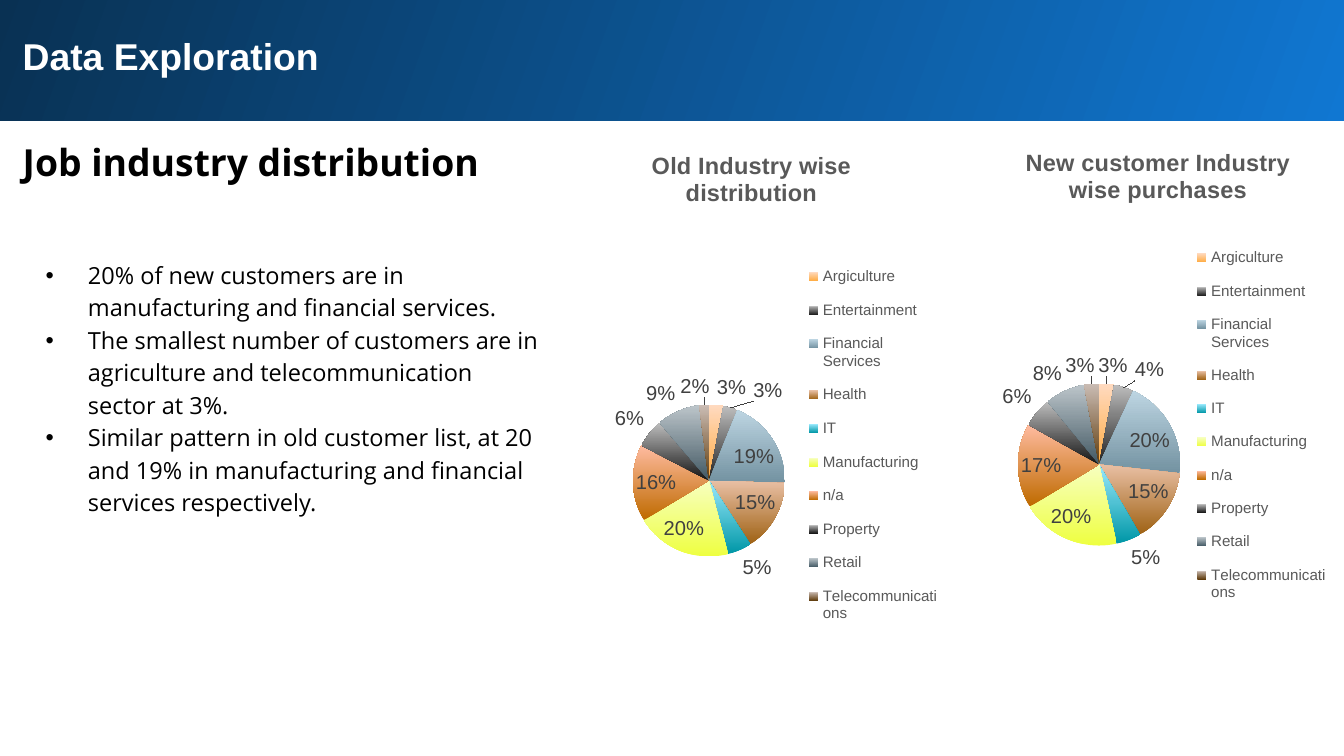
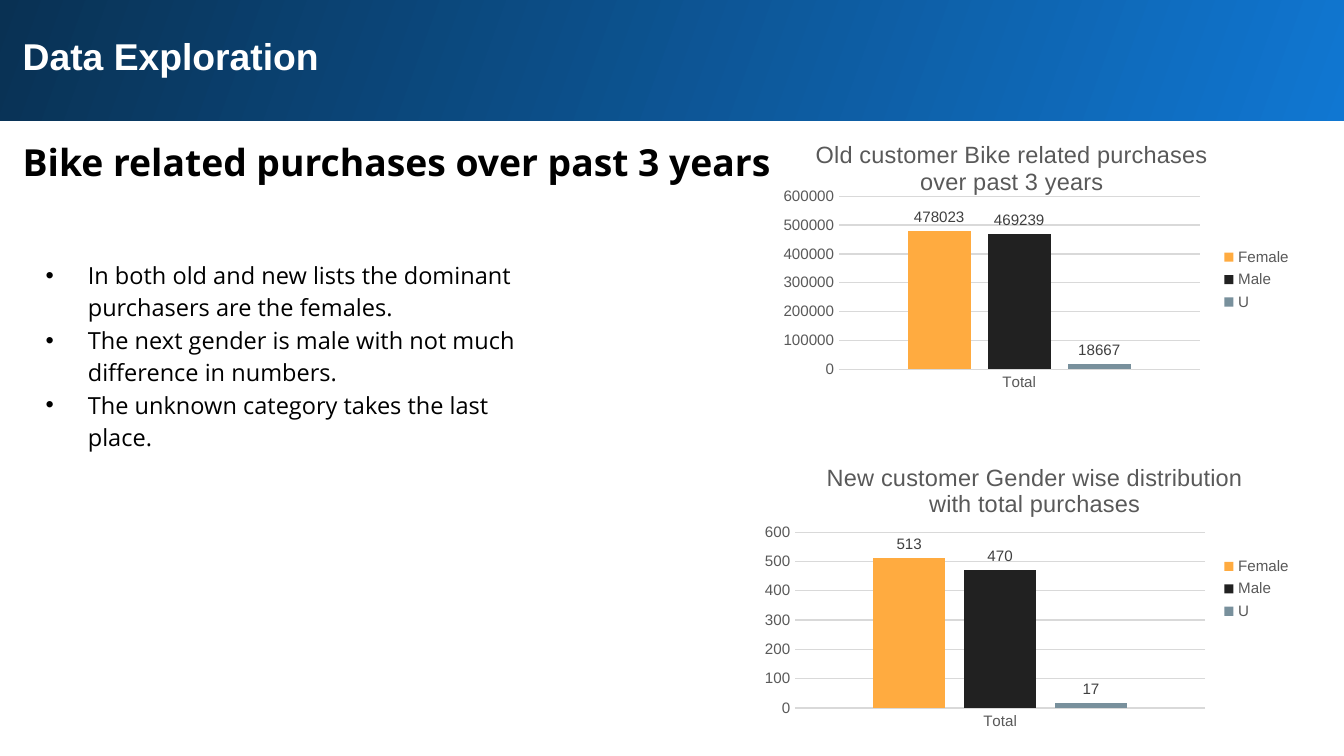
import lxml.etree
import pptx
import pptx.chart.data
import pptx.dml.color
import pptx.enum.chart
import pptx.enum.shapes
import pptx.enum.text
import pptx.oxml.ns
import pptx.util

SLIDE_WIDTH = pptx.util.Inches(11.11)
SLIDE_HEIGHT = pptx.util.Inches(6.25)

INDUSTRIES = ["Argiculture", "Entertainment", "Financial Services", "Health", "IT",
              "Manufacturing", "n/a", "Property", "Retail", "Telecommunications"]
SLICE_GRADIENTS = [("FFAB40", "FFDAC0"), ("212121", "BDBDBD"), ("7392A1", "BDD5E2"),
                   ("9F6214", "E9C0A5"), ("0097A7", "99E9FC"), ("EEFF41", "F7FFC0"),
                   ("BF6B00", "FFBBA0"), ("141414", "BDBDBD"), ("425863", "BCC5CA"),
                   ("5F3B0C", "CBBDB5")]
GENDER_COLORS = {"Female": "FFAB40", "Male": "212121", "U": "78909C"}


def color(value):
    return pptx.dml.color.RGBColor.from_string(value)


def area(left, top, width, height):
    """Turn percentages of the slide's size into lengths."""
    return [round(share * size / 100) for share, size in
            zip((left, top, width, height), (SLIDE_WIDTH, SLIDE_HEIGHT) * 2)]


def set_font(font, size, value, name="Arial", bold=False):
    font.size = pptx.util.Pt(size)
    font.name = name
    font.bold = bold
    font.color.rgb = color(value)


def set_gradient(fill, start, end, angle):
    fill.gradient()
    fill.gradient_angle = angle
    for stop, value, position in zip(fill.gradient_stops, (start, end), (0, 1)):
        stop.color.rgb = color(value)
        stop.position = position


def place_part(chart, tag, index, shares):
    """Fix a chart part at shares (x, y and optionally w, h) of the chart."""
    qn = pptx.oxml.ns.qn
    part = chart.element.find(".//" + qn(tag))
    for old in part.findall(qn("c:layout")):
        part.remove(old)
    layout = lxml.etree.Element(qn("c:layout"))
    manual = lxml.etree.SubElement(layout, qn("c:manualLayout"))
    settings = [("xMode", "edge"), ("yMode", "edge")]
    if tag == "c:plotArea":
        settings.insert(0, ("layoutTarget", "inner"))
    settings += zip("xywh", shares)
    for name, value in settings:
        lxml.etree.SubElement(manual, qn("c:" + name)).set("val", str(value))
    part.insert(index, layout)


class Deck:
    TEXT = "000000"
    LABEL = "404040"
    MUTED = "595959"
    GRID = "D9D9D9"
    BODY_FONT = "Open Sans"

    def __init__(self):
        self.deck = pptx.Presentation()
        self.deck.slide_width = SLIDE_WIDTH
        self.deck.slide_height = SLIDE_HEIGHT
        self.page = None

    def add_page(self, heading, points, body_height):
        self.page = self.deck.slides.add_slide(self.deck.slide_layouts[1])
        self.add_band()
        title = self.page.shapes.title
        self.fill_text(title, (0.7, 2.6, 93.7, 9.6), ["Data Exploration"],
                       22.2, "FFFFFF", "Arial", True)
        heading_box = self.page.shapes.add_textbox(0, 0, 0, 0)
        self.fill_text(heading_box, (0.7, 15.8, 93.7, 10.1), [heading],
                       22.2, self.TEXT, self.BODY_FONT, True, 1.15)
        body = self.page.placeholders[1]
        self.fill_text(body, (2.4, 32.2, 38.8, body_height), points,
                       14, self.TEXT, self.BODY_FONT, False, 1.15)
        for para in body.text_frame.paragraphs:
            self.add_bullet(para)

    def add_band(self):
        band = self.page.shapes.add_shape(
            pptx.enum.shapes.MSO_SHAPE.RECTANGLE, *area(-0.2, -0.3, 100.5, 16.3))
        band.shadow.inherit = False
        band.line.fill.background()
        set_gradient(band.fill, "1077D2", "093153", 160)
        self.page.shapes.element.insert(2, band.element)

    def fill_text(self, box, place, lines, size, value, font, bold, spacing=1.0):
        box.left, box.top, box.width, box.height = area(*place)
        frame = box.text_frame
        frame.text = "\n".join(lines)
        frame.word_wrap = True
        frame.auto_size = pptx.enum.text.MSO_AUTO_SIZE.SHAPE_TO_FIT_TEXT
        frame.vertical_anchor = pptx.enum.text.MSO_ANCHOR.TOP
        frame.margin_left = frame.margin_right = pptx.util.Inches(0.11)
        frame.margin_top = frame.margin_bottom = pptx.util.Inches(0.11)
        for para in frame.paragraphs:
            para.alignment = pptx.enum.text.PP_ALIGN.LEFT
            para.line_spacing = spacing
            para.space_before = pptx.util.Pt(0)
            for span in para.runs:
                set_font(span.font, size, value, font, bold)

    def add_bullet(self, para):
        properties = para._p.get_or_add_pPr()
        indent = pptx.util.Inches(0.35)
        properties.set("marL", str(indent))
        properties.set("indent", str(-indent))
        for tag, key, value in (("a:buFont", "typeface", "Arial"), ("a:buChar", "char", "•")):
            lxml.etree.SubElement(properties, pptx.oxml.ns.qn(tag)).set(key, value)

    def add_chart(self, kind, place, title, categories, series, bold, title_at, plot_at):
        data = pptx.chart.data.CategoryChartData()
        data.categories = categories
        for name, values in series.items():
            data.add_series(name, values)
        chart = self.page.shapes.add_chart(kind, *area(*place), data).chart
        set_font(chart.font, 10, self.TEXT)
        chart.has_title = True
        chart.chart_title.text_frame.text = title
        for span in chart.chart_title.text_frame.paragraphs[0].runs:
            set_font(span.font, 14, self.MUTED, bold=bold)
        chart.has_legend = True
        chart.legend.position = pptx.enum.chart.XL_LEGEND_POSITION.RIGHT
        chart.legend.include_in_layout = False
        set_font(chart.legend.font, 9, self.MUTED)
        place_part(chart, "c:title", 1, title_at)
        place_part(chart, "c:plotArea", 0, plot_at)
        chart.plots[0].has_data_labels = True
        return chart

    def add_pie(self, place, title, values, title_at, plot_at, legend_at):
        chart = self.add_chart(pptx.enum.chart.XL_CHART_TYPE.PIE, place, title, INDUSTRIES,
                               {"Series 1": values}, True, title_at, plot_at)
        place_part(chart, "c:legend", 1, legend_at)
        plot = chart.plots[0]
        labels = plot.data_labels
        labels.show_percentage = True
        labels.show_value = False
        labels.number_format = "0%"
        labels.number_format_is_linked = False
        labels.position = pptx.enum.chart.XL_LABEL_POSITION.BEST_FIT
        set_font(labels.font, 12, self.LABEL)
        for index, (start, end) in enumerate(SLICE_GRADIENTS):
            set_gradient(plot.series[0].points[index].format.fill, start, end, 90)

    def add_columns(self, place, title, values, top, title_at, plot_at):
        series = {name: [value] for name, value in zip(GENDER_COLORS, values)}
        chart = self.add_chart(pptx.enum.chart.XL_CHART_TYPE.COLUMN_CLUSTERED, place, title,
                               ["Total"], series, False, title_at, plot_at)
        plot = chart.plots[0]
        plot.vary_by_categories = False
        plot.gap_width = 219
        plot.overlap = -27
        plot.data_labels.show_value = True
        plot.data_labels.position = pptx.enum.chart.XL_LABEL_POSITION.OUTSIDE_END
        set_font(plot.data_labels.font, 9, self.LABEL)
        for column, value in zip(plot.series, GENDER_COLORS.values()):
            column.format.fill.solid()
            column.format.fill.fore_color.rgb = color(value)
        for axis in (chart.category_axis, chart.value_axis):
            axis.major_tick_mark = pptx.enum.chart.XL_TICK_MARK.NONE
            set_font(axis.tick_labels.font, 9, self.MUTED)
        amounts = chart.value_axis
        amounts.minimum_scale = 0
        amounts.maximum_scale = top
        amounts.major_unit = top / 6
        amounts.format.line.fill.background()
        for line in (chart.category_axis.format.line, amounts.major_gridlines.format.line):
            line.color.rgb = color(self.GRID)
            line.width = pptx.util.Pt(0.75)


def main():
    deck = Deck()
    deck.add_page("Job industry distribution", [
        "20% of new customers are in manufacturing and financial services.",
        "The smallest number of customers are in agriculture and telecommunication "
        "sector at 3%.",
        "Similar pattern in old customer list, at 20 and 19% in manufacturing and "
        "financial services respectively."], 46.6)
    deck.add_pie((43.6, 17.8, 26.9, 77.6), "Old Industry wise distribution",
                 [3, 3, 19, 15, 5, 20, 16, 6, 9, 2],
                 (0.17, 0.02), (0.13, 0.46, 0.42, 0.26), (0.62, 0.2, 0.36, 0.66))
    deck.add_pie((72.5, 15.8, 26.9, 79.4), "New customer Industry wise purchases",
                 [3, 4, 20, 15, 5, 20, 17, 6, 8, 3],
                 (0.13, 0.04), (0.12, 0.44, 0.45, 0.27), (0.62, 0.19, 0.36, 0.64))

    deck.add_page("Bike related purchases over past 3 years", [
        "In both old and new lists the dominant purchasers are the females.",
        "The next gender is male with not much difference in numbers.",
        "The unknown category takes the last place."], 29.3)
    deck.add_columns((56.3, 15.8, 40.7, 42.4),
                     "Old customer Bike related purchases over past 3 years",
                     [478023, 469239, 18667], 600000,
                     (0.1, 0.05), (0.15, 0.24, 0.66, 0.54))
    deck.add_columns((56.3, 58.2, 40.7, 39.4),
                     "New customer Gender wise distribution with total purchases",
                     [513, 470, 17], 600,
                     (0.12, 0.06), (0.07, 0.31, 0.75, 0.59))
    deck.deck.save("out.pptx")


if __name__ == "__main__":
    main()
